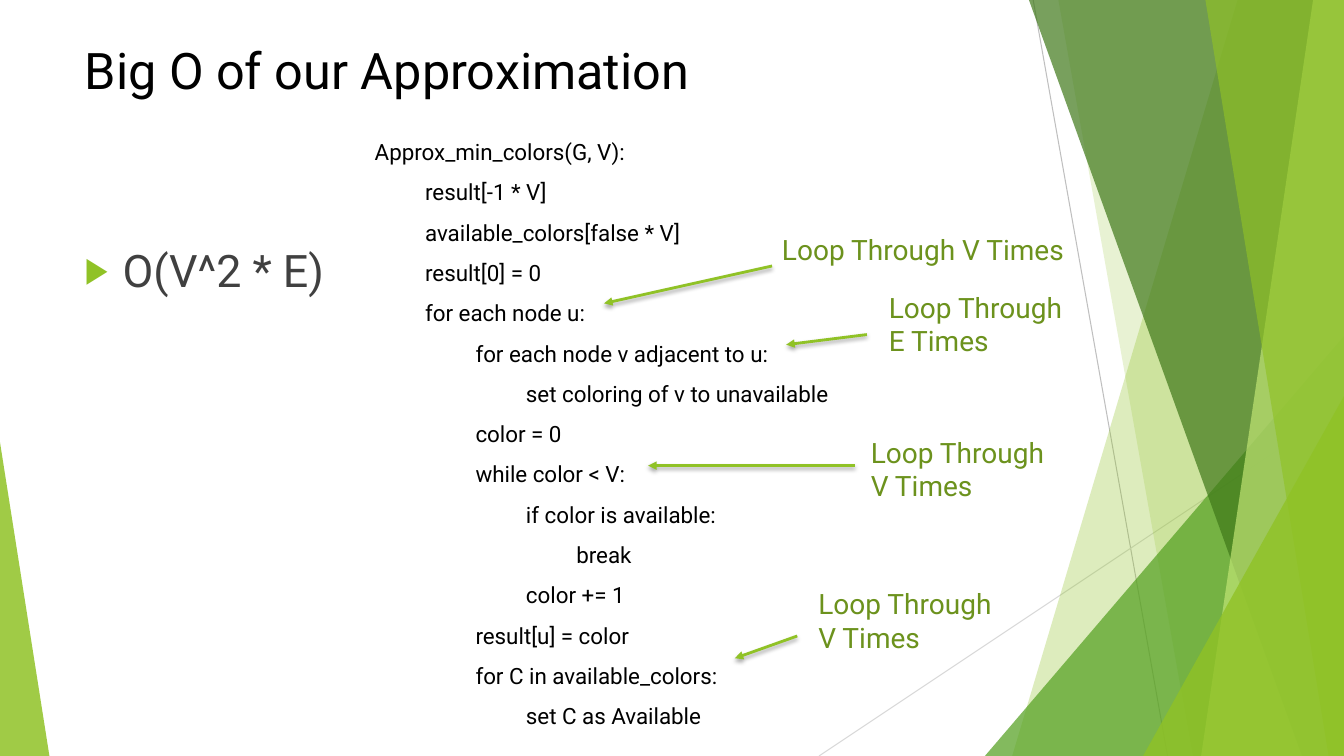
from dataclasses import dataclass

from lxml import etree
from pptx import Presentation
from pptx.dml.color import RGBColor
from pptx.enum.shapes import MSO_CONNECTOR, MSO_SHAPE
from pptx.enum.text import MSO_ANCHOR, MSO_AUTO_SIZE, PP_ALIGN
from pptx.oxml.ns import qn
from pptx.util import Pt

STRAIGHT = MSO_CONNECTOR.STRAIGHT
TRIANGLE = MSO_SHAPE.ISOSCELES_TRIANGLE
TOP = MSO_ANCHOR.TOP
NO_FIT = MSO_AUTO_SIZE.NONE
LEFT = PP_ALIGN.LEFT


@dataclass(frozen=True)
class Theme:
    font: str = "Roboto"
    ink: str = "000000"
    body: str = "404040"
    label: str = "6C921D"
    lime: str = "90C226"
    green: str = "54A021"
    forest: str = "3F7819"
    pale: str = "C0E474"
    rule: str = "BFBFBF"
    soft_rule: str = "D9D9D9"
    title_size: int = 36
    body_size: int = 32
    label_size: int = 20
    code_size: int = 16


THEME = Theme()
WIDTH, HEIGHT = 960, 540
INDENT = 36

CODE = [
    (0, "Approx_min_colors(G, V):"),
    (1, "result[-1 * V]"),
    (1, "available_colors[false * V]"),
    (1, "result[0] = 0"),
    (1, "for each node u:"),
    (2, "for each node v adjacent to u:"),
    (3, "set coloring of v to unavailable"),
    (2, "color = 0"),
    (2, "while color < V:"),
    (3, "if color is available:"),
    (4, "break"),
    (3, "color += 1"),
    (2, "result[u] = color"),
    (2, "for C in available_colors:"),
    (3, "set C as Available"),
]

LOOP_NOTES = [
    ("V", (551.5, 162.7, 330, 32), (551.5, 190, 431.5, 216.7)),
    ("E", (627.8, 203.8, 140.4, 55.4), (619.2, 239, 561.6, 246.2)),
    ("V", (614.9, 307.4, 140.4, 55.4), (610.6, 332.6, 463, 332.6)),
    ("V", (577.4, 415.4, 140.4, 55.4), (569.5, 454.3, 524.9, 470.2)),
]


def add_child(parent, tag, **attributes):
    return etree.SubElement(parent, qn(tag), attributes)


def paint(shape, color, opacity):
    shape.shadow.inherit = False
    shape.fill.solid()
    shape.fill.fore_color.rgb = RGBColor.from_string(color)
    shape.line.fill.background()
    tone = shape.fill._xPr.find(qn("a:solidFill"))[0]
    add_child(tone, "a:alpha", val=str(opacity * 1000))


def add_facet(page, top_x, bottom_x, color, opacity):
    corners = [(WIDTH, 0), (WIDTH, HEIGHT), (bottom_x, HEIGHT)]
    builder = page.shapes.build_freeform(Pt(top_x), 0)
    builder.add_line_segments([(Pt(x), Pt(y)) for x, y in corners], close=True)
    paint(builder.convert_to_shape(), color, opacity)


def add_triangle(page, left, top, width, apex, color, opacity):
    shape = page.shapes.add_shape(
        TRIANGLE, Pt(left), Pt(top), Pt(width), Pt(HEIGHT - top))
    shape.adjustments[0] = apex
    paint(shape, color, opacity)


def add_line(page, ends, color, width):
    line = page.shapes.add_connector(STRAIGHT, *[Pt(value) for value in ends])
    line.line.color.rgb = RGBColor.from_string(color)
    line.line.width = Pt(width)
    effects = add_child(line._element.spPr, "a:effectLst")
    return line, effects


def add_arrow(page, ends):
    arrow, effects = add_line(page, ends, THEME.lime, 2)
    add_child(arrow.line._get_or_add_ln(), "a:tailEnd", type="triangle")
    shadow = add_child(effects, "a:outerShdw", blurRad=str(Pt(3)),
                       dist=str(Pt(2)), dir="5400000", rotWithShape="0")
    tone = add_child(shadow, "a:srgbClr", val="000000")
    add_child(tone, "a:alpha", val="35000")


def write(para, text, size, color):
    para.alignment = LEFT
    span = para.add_run()
    span.text = text
    span.font.name = THEME.font
    span.font.size = Pt(size)
    span.font.color.rgb = RGBColor.from_string(color)


def set_up_frame(box):
    frame = box.text_frame
    frame.word_wrap = True
    frame.auto_size = NO_FIT
    frame.vertical_anchor = TOP
    return frame


def place(box, left, top, width, height):
    box.left, box.top = Pt(left), Pt(top)
    box.width, box.height = Pt(width), Pt(height)
    return set_up_frame(box).paragraphs[0]


def add_text_box(page, bounds):
    return set_up_frame(page.shapes.add_textbox(*[Pt(value) for value in bounds]))


def add_bullet(para):
    para.space_before = Pt(10)
    properties = para._p.get_or_add_pPr()
    properties.set("marL", str(Pt(27)))
    properties.set("indent", str(Pt(-27)))
    tone = add_child(properties, "a:buClr")
    add_child(tone, "a:srgbClr", val=THEME.lime)
    add_child(properties, "a:buSzPct", val="80000")
    add_child(properties, "a:buChar", char="▶")


def add_code(page):
    frame = add_text_box(page, (260.6, 85.7, 480, 440))
    for number, (depth, text) in enumerate(CODE):
        para = frame.add_paragraph() if number else frame.paragraphs[0]
        para.line_spacing = 1.5
        para._p.get_or_add_pPr().set("marL", str(Pt(depth * INDENT)))
        write(para, text, THEME.code_size, THEME.ink)


def add_backdrop(page):
    add_line(page, (738, 0, 834, HEIGHT), THEME.rule, 0.75)
    add_line(page, (WIDTH, 290, 585, HEIGHT), THEME.soft_rule, 0.75)
    add_facet(page, 884, 723, THEME.lime, 30)
    add_facet(page, 756, 852, THEME.lime, 20)
    add_triangle(page, 703.5, 240, 256.5, 1, THEME.green, 72)
    add_facet(page, 735, 930, THEME.forest, 70)
    add_facet(page, 938, 858, THEME.pale, 70)
    add_facet(page, 861, 949, THEME.lime, 65)
    add_triangle(page, 816.5, 283, 143.5, 1, THEME.lime, 80)
    add_triangle(page, 0, 316, 35.3, 0, THEME.lime, 85)


def main():
    deck = Presentation()
    deck.slide_width, deck.slide_height = Pt(WIDTH), Pt(HEIGHT)
    page = deck.slides.add_slide(deck.slide_layouts[1])
    add_backdrop(page)

    title = place(page.shapes.title, 53.3, 24.5, 676.8, 103.7)
    write(title, "Big O of our Approximation", THEME.title_size, THEME.ink)
    answer = place(page.placeholders[1], 53.3, 170, 308.9, 305.3)
    add_bullet(answer)
    write(answer, "O(V^2 * E)", THEME.body_size, THEME.body)

    add_code(page)
    for count, bounds, ends in LOOP_NOTES:
        add_arrow(page, ends)
        para = add_text_box(page, bounds).paragraphs[0]
        write(para, f"Loop Through {count} Times", THEME.label_size, THEME.label)
    deck.save("out.pptx")


main()
